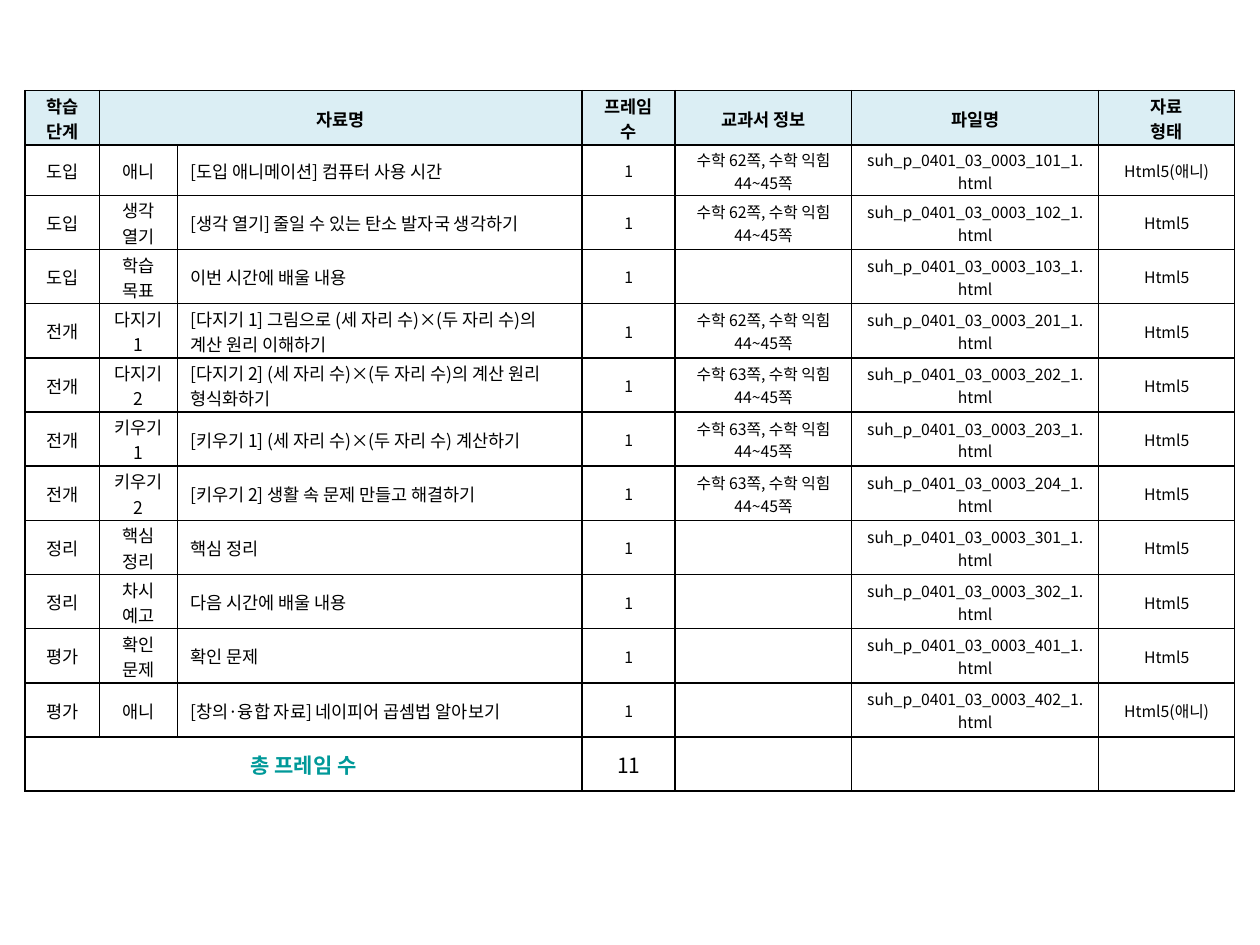
from dataclasses import dataclass

from pptx import Presentation
from pptx import util as u
from pptx.dml.color import RGBColor
from pptx.enum import text
from pptx.oxml import parse_xml
from pptx.oxml import ns


@dataclass(frozen=True)
class Theme:
    font: str = "Noto Sans CJK KR"
    ink: str = "000000"
    head: str = "DBEEF4"
    teal: str = "009999"
    small: int = 9
    body: int = 10
    large: int = 12
    rule: float = 1


THEME = Theme()
WIDTHS = [0.59, 0.62, 3.21, 0.74, 1.4, 1.96, 1.08]
HEIGHTS = [0.43, 0.4] + [0.43] * 11
TITLES = ["학습 단계", "자료명", "", "프레임 수", "교과서 정보", "파일명", "자료\n형태"]

# stage, step, title, textbook page, file number, format
LESSONS = [
    ("도입", "애니", "[도입 애니메이션] 컴퓨터 사용 시간", 62, 101, "Html5(애니)"),
    ("도입", "생각 열기", "[생각 열기] 줄일 수 있는 탄소 발자국 생각하기", 62, 102, "Html5"),
    ("도입", "학습 목표", "이번 시간에 배울 내용", None, 103, "Html5"),
    ("전개", "다지기1", "[다지기 1] 그림으로 (세 자리 수)×(두 자리 수)의 계산 원리 이해하기",
     62, 201, "Html5"),
    ("전개", "다지기 2", "[다지기 2] (세 자리 수)×(두 자리 수)의 계산 원리 형식화하기",
     63, 202, "Html5"),
    ("전개", "키우기1", "[키우기 1] (세 자리 수)×(두 자리 수) 계산하기", 63, 203, "Html5"),
    ("전개", "키우기2", "[키우기 2] 생활 속 문제 만들고 해결하기", 63, 204, "Html5"),
    ("정리", "핵심 정리", "핵심 정리", None, 301, "Html5"),
    ("정리", "차시 예고", "다음 시간에 배울 내용", None, 302, "Html5"),
    ("평가", "확인 문제", "확인 문제", None, 401, "Html5"),
    ("평가", "애니", "[창의·융합 자료] 네이피어 곱셈법 알아보기", None, 402, "Html5(애니)"),
]


def add_rules(cell):
    """Draw a thin line on all four sides of the cell."""
    props = cell._tc.get_or_add_tcPr()
    for side in "LRTB":
        props.append(parse_xml(
            f'<a:ln{side} {ns.nsdecls("a")} w="{u.Pt(THEME.rule)}"><a:solidFill>'
            f'<a:srgbClr val="{THEME.ink}"/></a:solidFill></a:ln{side}>'))


def set_text(cell, words, size, bold=False, color=THEME.ink, left=False):
    cell.text = words
    for para in cell.text_frame.paragraphs:
        para.alignment = text.PP_ALIGN.LEFT if left else text.PP_ALIGN.CENTER
        font = para.font
        font.name, font.size, font.bold = THEME.font, u.Pt(size), bold
        font.color.rgb = RGBColor.from_string(color)
        for run in para.runs:
            props = run._r.get_or_add_rPr()
            props.append(parse_xml(
                f'<a:ea {ns.nsdecls("a")} typeface="{THEME.font}"/>'))


def add_grid(slide):
    """Add the empty ruled table with its merged title and total cells."""
    frame = slide.shapes.add_table(
        len(HEIGHTS), len(WIDTHS), u.Inches(0.2), u.Inches(0.72),
        u.Inches(sum(WIDTHS)), u.Inches(sum(HEIGHTS)))
    grid = frame.table
    grid.first_row = grid.horz_banding = False
    for col, width in zip(grid.columns, WIDTHS):
        col.width = u.Inches(width)
    for row, height in zip(grid.rows, HEIGHTS):
        row.height = u.Inches(height)
    for cell in grid.iter_cells():
        cell.vertical_anchor = text.MSO_ANCHOR.MIDDLE
        cell.margin_top, cell.margin_bottom = u.Inches(0.02), u.Inches(0.01)
        add_rules(cell)
        cell.fill.background()
    last = len(HEIGHTS) - 1
    grid.cell(0, 1).merge(grid.cell(0, 2))
    grid.cell(last, 0).merge(grid.cell(last, 2))
    return grid


def fill_head(grid):
    for col, title in enumerate(TITLES):
        cell = grid.cell(0, col)
        cell.fill.solid()
        cell.fill.fore_color.rgb = RGBColor.from_string(THEME.head)
        if title:
            set_text(cell, title, THEME.body, bold=True)


def fill_row(grid, row, lesson):
    stage, step, title, page, code, form = lesson
    pages = f"수학 {page}쪽, 수학 익힘 44~45쪽" if page else ""
    file = f"suh_p_0401_03_0003_{code}_1.html"
    for col, words in enumerate([stage, step, title, "1", pages, file, form]):
        if words:
            size = THEME.body if col < 3 else THEME.small
            set_text(grid.cell(row, col), words, size, left=col == 2)


def fill_total(grid):
    last = len(HEIGHTS) - 1
    set_text(grid.cell(last, 0), "총 프레임 수", THEME.large, True, THEME.teal)
    set_text(grid.cell(last, 3), str(len(LESSONS)), THEME.large)


def main():
    deck = Presentation()
    deck.slide_width, deck.slide_height = u.Inches(10), u.Inches(7.5)
    slide = deck.slides.add_slide(deck.slide_layouts[6])
    grid = add_grid(slide)
    fill_head(grid)
    for row, lesson in enumerate(LESSONS, 1):
        fill_row(grid, row, lesson)
    fill_total(grid)
    deck.save("out.pptx")


if __name__ == "__main__":
    main()
